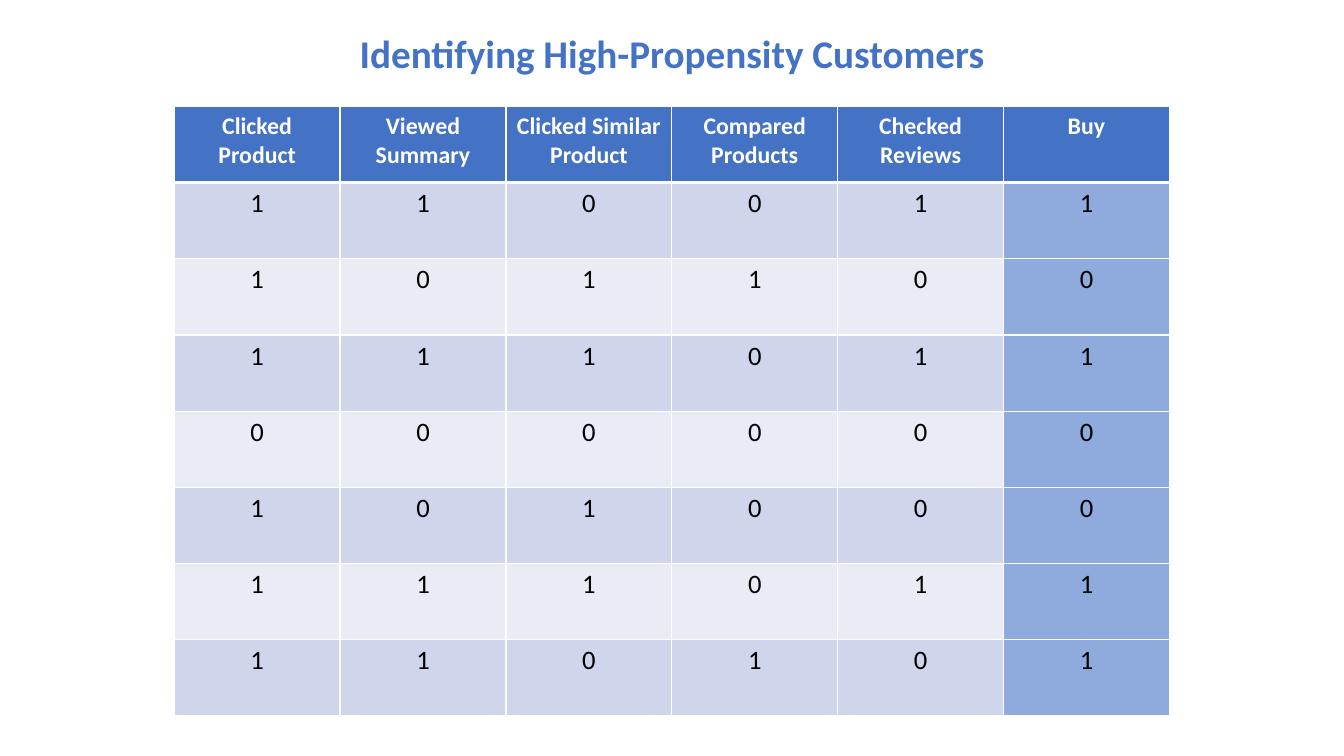
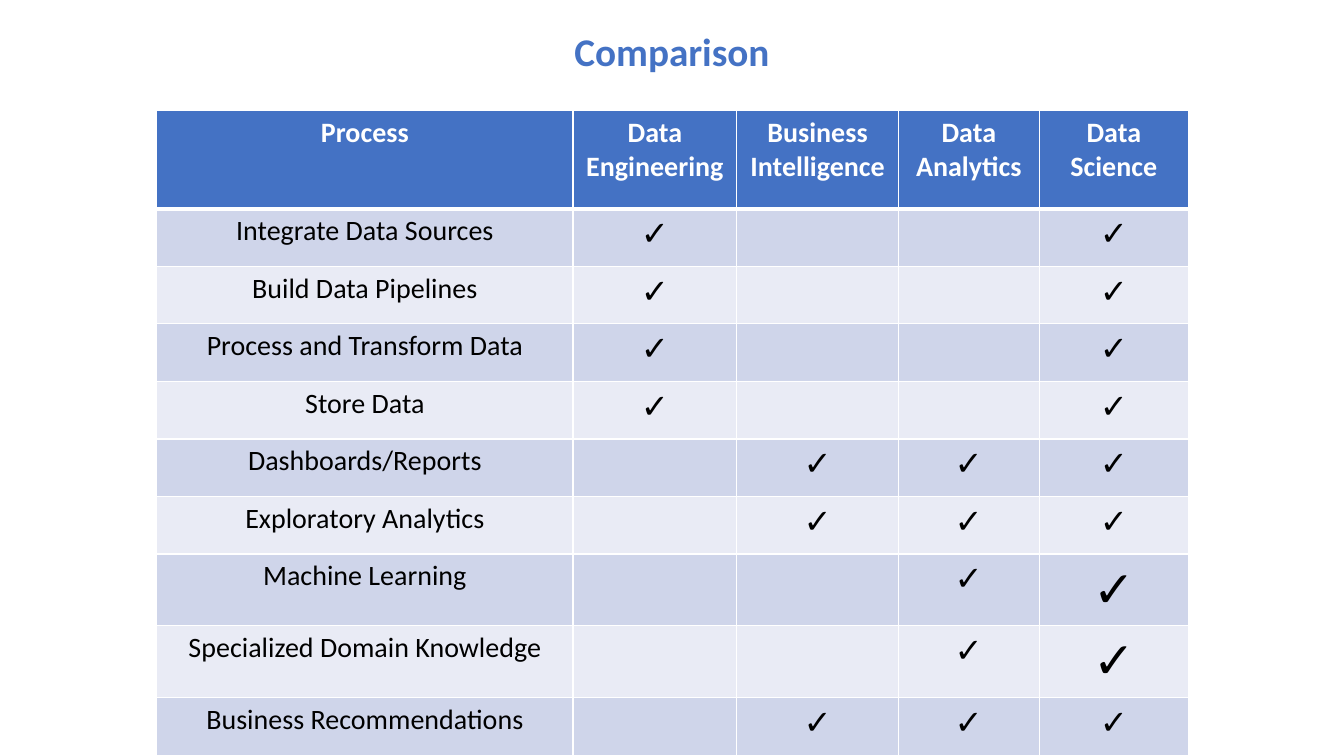
from dataclasses import dataclass

from pptx import Presentation
from pptx.dml.color import RGBColor
from pptx.enum.text import MSO_ANCHOR, PP_ALIGN
from pptx.oxml.ns import qn
from pptx.util import Cm, Pt
from lxml.etree import SubElement

# Shared look
BLUE = RGBColor(0x44, 0x72, 0xC4)
SOFT_BLUE = RGBColor(0x8F, 0xAA, 0xDC)
BAND_DARK = RGBColor(0xCF, 0xD5, 0xEA)
BAND_LIGHT = RGBColor(0xE9, 0xEB, 0xF5)
WHITE = RGBColor(0xFF, 0xFF, 0xFF)
BLACK = RGBColor(0, 0, 0)
FONT = "Calibri"
TITLE_ONLY = 5
SLIDE_W, SLIDE_H = 33.87, 19.05
TITLE_W, TITLE_H = 16.28, 1.45
CHECK, BIG_CHECK = "✓", "✓✓"


@dataclass(frozen=True)
class TextStyle:
    size: int
    color: RGBColor = BLACK
    bold: bool = False


@dataclass(frozen=True)
class Grid:
    left: float
    top: float
    widths: list[float]
    header_height: float
    row_height: float
    header: list[str]
    rows: list[list[str]]
    header_size: int
    body_size: int
    highlight_last: bool = False


TITLE_STYLE = TextStyle(28, BLUE, True)
CHECK_STYLES = {CHECK: TextStyle(24), BIG_CHECK: TextStyle(36, bold=True)}


def write(tf, text: str, style: TextStyle) -> None:
    """Put one centred, formatted line of text in a frame."""
    p = tf.paragraphs[0]
    p.alignment = PP_ALIGN.CENTER
    r = p.add_run()
    r.text = text
    values = {"name": FONT, "size": Pt(style.size), "bold": style.bold}
    for name, value in values.items():
        setattr(r.font, name, value)
    r.font.color.rgb = style.color


def add_title(s, text: str, top: float) -> None:
    sp = s.shapes.title
    box = {"left": Cm((SLIDE_W - TITLE_W) / 2), "top": Cm(top),
           "width": Cm(TITLE_W), "height": Cm(TITLE_H)}
    for name, value in box.items():
        setattr(sp, name, value)
    sp.text_frame.vertical_anchor = MSO_ANCHOR.MIDDLE
    write(sp.text_frame, text, TITLE_STYLE)


def set_borders(cell, top: int, bottom: int) -> None:
    """White cell lines, with widths in points."""
    tc_pr = cell._tc.get_or_add_tcPr()
    for tag, width in {"lnL": 1, "lnR": 1, "lnT": top, "lnB": bottom}.items():
        ln = SubElement(tc_pr, qn(f"a:{tag}"), w=str(Pt(width)))
        fill = SubElement(ln, qn("a:solidFill"))
        SubElement(fill, qn("a:srgbClr"), val=str(WHITE))


def add_grid(s, grid: Grid) -> None:
    rows = [grid.header, *grid.rows]
    heights = [grid.header_height] + [grid.row_height] * len(grid.rows)
    table = s.shapes.add_table(
        len(rows), len(grid.widths), Cm(grid.left), Cm(grid.top),
        Cm(sum(grid.widths)), Cm(sum(heights))).table
    table.horz_banding = False
    for column, width in zip(table.columns, grid.widths):
        column.width = Cm(width)
    for row, height in zip(table.rows, heights):
        row.height = Cm(height)

    header_style = TextStyle(grid.header_size, WHITE, True)
    body_style = TextStyle(grid.body_size)
    last = len(grid.widths) - 1
    for i, texts in enumerate(rows):
        band = BLUE if i == 0 else BAND_DARK if i % 2 else BAND_LIGHT
        for j, text in enumerate(texts):
            cell = table.cell(i, j)
            set_borders(cell, 3 if i == 1 else 1, 3 if i == 0 else 1)
            cell.fill.solid()
            marked = grid.highlight_last and i > 0 and j == last
            cell.fill.fore_color.rgb = SOFT_BLUE if marked else band
            if text:
                style = header_style if i == 0 else CHECK_STYLES.get(text, body_style)
                write(cell.text_frame, CHECK if text == BIG_CHECK else text, style)


# Customer clicks: one digit per column
CLICKS = ["110011", "101100", "111011", "000000", "101000", "111011", "110101"]
CUSTOMERS = Grid(
    left=4.39, top=2.68, widths=[4.18] * 6, header_height=1.92, row_height=1.92,
    header=["Clicked Product", "Viewed Summary", "Clicked Similar Product",
            "Compared Products", "Checked Reviews", "Buy"],
    rows=[list(digits) for digits in CLICKS],
    header_size=17, body_size=19, highlight_last=True)

# Processes: x is a check, X a big check
PROCESSES = {
    "Integrate Data Sources": "x--x",
    "Build Data Pipelines": "x--x",
    "Process and Transform Data": "x--x",
    "Store Data": "x--x",
    "Dashboards/Reports": "-xxx",
    "Exploratory Analytics": "-xxx",
    "Machine Learning": "--xX",
    "Specialized Domain Knowledge": "--xX",
    "Business Recommendations": "-xxx",
}
MARKS = {"-": "", "x": CHECK, "X": BIG_CHECK}
COMPARISON = Grid(
    left=3.95, top=2.78, widths=[10.49, 4.13, 4.07, 3.55, 3.76],
    header_height=2.48, row_height=1.45,
    header=["Process", "Data Engineering", "Business Intelligence",
            "Data Analytics", "Data Science"],
    rows=[[name, *(MARKS[m] for m in marks)] for name, marks in PROCESSES.items()],
    header_size=20, body_size=20)

SLIDES = [("Identifying High-Propensity Customers", 0.6, CUSTOMERS),
          ("Comparison", 0.56, COMPARISON)]


def main() -> None:
    prs = Presentation()
    prs.slide_width, prs.slide_height = Cm(SLIDE_W), Cm(SLIDE_H)
    for title, top, grid in SLIDES:
        s = prs.slides.add_slide(prs.slide_layouts[TITLE_ONLY])
        add_title(s, title, top)
        add_grid(s, grid)
    prs.save("out.pptx")


if __name__ == "__main__":
    main()
